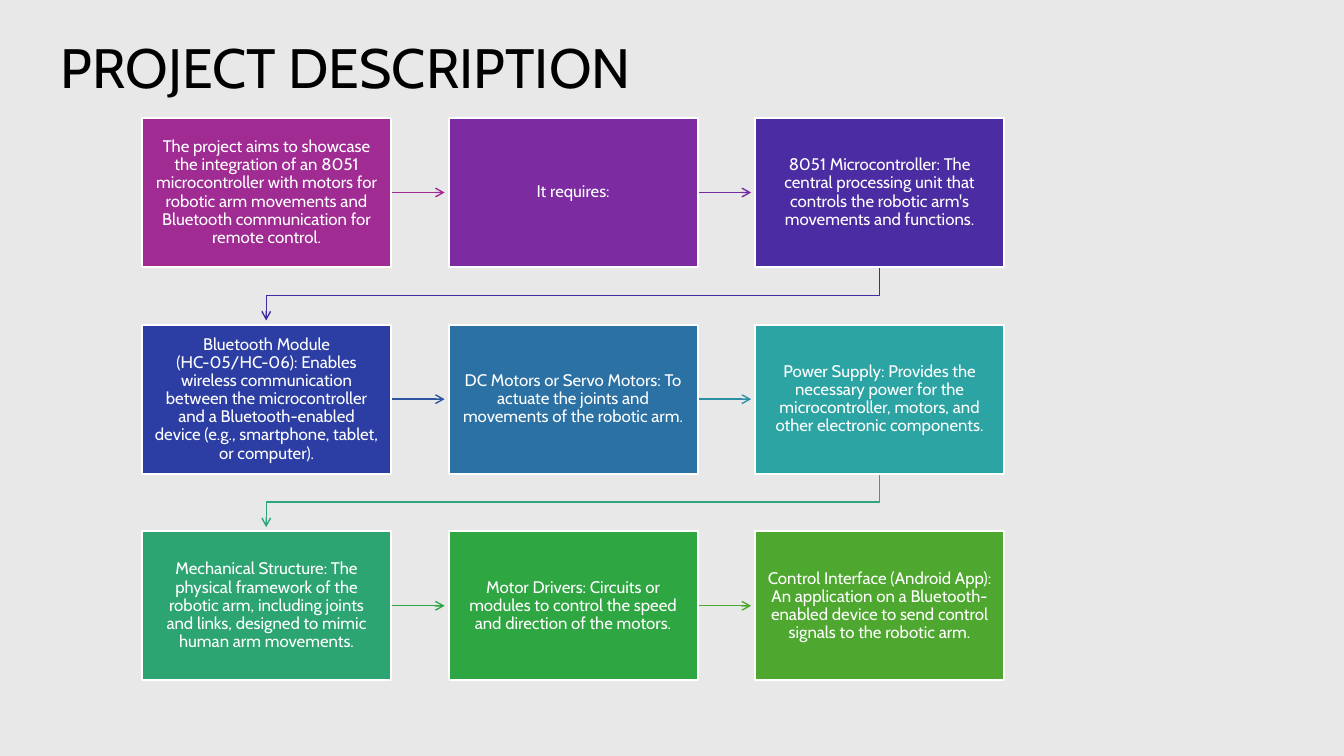
from lxml import etree
from pptx import Presentation
from pptx.dml.color import RGBColor
from pptx.enum.shapes import MSO_CONNECTOR, MSO_SHAPE
from pptx.enum.text import MSO_ANCHOR, PP_ALIGN
from pptx.oxml.ns import qn
from pptx.util import Pt

PX = 9144  # EMU in one px, 100 px to the inch
RECT = MSO_SHAPE.RECTANGLE
STRAIGHT = MSO_CONNECTOR.STRAIGHT
MIDDLE = MSO_ANCHOR.MIDDLE
LEFT, CENTER = PP_ALIGN.LEFT, PP_ALIGN.CENTER

GREY = RGBColor(0xE8, 0xE8, 0xE8)
BLACK = RGBColor(0x00, 0x00, 0x00)
WHITE = RGBColor(0xFF, 0xFF, 0xFF)
MAGENTA = RGBColor(0xA0, 0x2B, 0x93)
PURPLE = RGBColor(0x7C, 0x2B, 0xA1)
VIOLET = RGBColor(0x4B, 0x2C, 0xA2)
INDIGO = RGBColor(0x2C, 0x3E, 0xA3)
BLUE = RGBColor(0x2C, 0x71, 0xA4)
TEAL = RGBColor(0x2D, 0xA4, 0xA4)
JADE = RGBColor(0x2D, 0xA5, 0x73)
GREEN = RGBColor(0x2E, 0xA6, 0x41)
LIME = RGBColor(0x4E, 0xA7, 0x2E)
PLUM_LINE = RGBColor(0x75, 0x2B, 0xA1)
VIOLET_LINE = RGBColor(0x3D, 0x2C, 0xA2)
BLUE_LINE = RGBColor(0x2C, 0x54, 0xA3)
CYAN_LINE = RGBColor(0x2D, 0x8E, 0xA4)
JADE_LINE = RGBColor(0x2D, 0xA5, 0x81)
GREEN_LINE = RGBColor(0x2E, 0xA6, 0x48)

COLS = 3
LEFT_X, TOP_Y = 141, 117
BOX_W, BOX_H = 247, 148
STEP_X, STEP_Y = 304, 205
REACH, BEND = 53, 28  # arrow length between boxes, and depth of its turn

# Text, box fill, colour of the arrow to the next box
STEPS = [
    ("The project aims to showcase the integration of an 8051 microcontroller "
     "with motors for robotic arm movements and Bluetooth communication for "
     "remote control.", MAGENTA, MAGENTA),
    ("It requires:", PURPLE, PLUM_LINE),
    ("8051 Microcontroller: The central processing unit that controls the "
     "robotic arm's movements and functions.", VIOLET, VIOLET_LINE),
    ("Bluetooth Module (HC-05/HC-06): Enables wireless communication between "
     "the microcontroller and a Bluetooth-enabled device (e.g., smartphone, "
     "tablet, or computer).", INDIGO, BLUE_LINE),
    ("DC Motors or Servo Motors: To actuate the joints and movements of the "
     "robotic arm.", BLUE, CYAN_LINE),
    ("Power Supply: Provides the necessary power for the microcontroller, "
     "motors, and other electronic components.", TEAL, JADE_LINE),
    ("Mechanical Structure: The physical framework of the robotic arm, "
     "including joints and links, designed to mimic human arm movements.",
     JADE, GREEN_LINE),
    ("Motor Drivers: Circuits or modules to control the speed and direction "
     "of the motors.", GREEN, LIME),
    ("Control Interface (Android App): An application on a Bluetooth-enabled "
     "device to send control signals to the robotic arm.", LIME, None),
]


class Deck:
    font = "Cabin"

    def __init__(self, wide, high):
        self.prs = Presentation()
        self.prs.slide_width, self.prs.slide_height = wide * PX, high * PX
        self.slide = self.prs.slides.add_slide(self.prs.slide_layouts[6])
        fill = self.slide.background.fill
        fill.solid()
        fill.fore_color.rgb = GREY
        self.shapes = self.slide.shapes

    def label(self, shape, text, size, color, align, pad):
        """Put one paragraph in a shape; pad is its side and top inset."""
        side, top = (n * PX for n in pad)
        frame = shape.text_frame
        para = frame.paragraphs[0]
        para.text = text
        formats = [
            (frame, {"word_wrap": True, "vertical_anchor": MIDDLE,
                     "margin_left": side, "margin_right": side,
                     "margin_top": top, "margin_bottom": top}),
            (para, {"alignment": align, "line_spacing": 0.9}),
            (para.runs[0].font, {"name": self.font, "size": Pt(size)}),
        ]
        for item, values in formats:
            for key, value in values.items():
                setattr(item, key, value)
        para.runs[0].font.color.rgb = color

    def title(self, text, *area):
        shape = self.shapes.add_textbox(*(n * PX for n in area))
        self.label(shape, text, 39.6, BLACK, LEFT, (10, 5))

    def box(self, text, fill, *area):
        shape = self.shapes.add_shape(RECT, *(n * PX for n in area))
        shape.shadow.inherit = False
        shape.fill.solid()
        shape.fill.fore_color.rgb = fill
        shape.line.color.rgb = WHITE
        shape.line.width = Pt(1.5)
        self.label(shape, text, 12, WHITE, CENTER, (12, 13))

    def arrow(self, color, *points):
        """Draw an arrow through the points, ending in an open head."""
        points = [(x * PX, y * PX) for x, y in points]
        if len(points) == 2:
            shape = self.shapes.add_connector(STRAIGHT, *points[0], *points[1])
        else:
            outline = self.shapes.build_freeform(*points[0])
            outline.add_line_segments(points[1:], close=False)
            shape = outline.convert_to_shape()
            shape.fill.background()
        shape.line.color.rgb = color
        shape.line.width = Pt(1)
        props = shape._element.spPr
        etree.SubElement(props.find(qn("a:ln")), qn("a:tailEnd"), type="arrow")
        etree.SubElement(props, qn("a:effectLst"))


def main():
    deck = Deck(1333, 750)
    deck.title("PROJECT DESCRIPTION", 50, 42, 1037, 56)
    for i, (text, fill, line) in enumerate(STEPS):
        row, col = divmod(i, COLS)
        x, y = LEFT_X + col * STEP_X, TOP_Y + row * STEP_Y
        right, base = x + BOX_W, y + BOX_H
        if line and col < COLS - 1:
            mid = y + BOX_H // 2
            deck.arrow(line, (right, mid), (right + REACH, mid))
        elif line:
            start, end = x + BOX_W // 2, LEFT_X + BOX_W // 2
            turn = base + BEND
            deck.arrow(line, (start, base), (start, turn), (end, turn),
                       (end, base + REACH))
        deck.box(text, fill, x, y, BOX_W, BOX_H)
    deck.prs.save("out.pptx")


if __name__ == "__main__":
    main()
